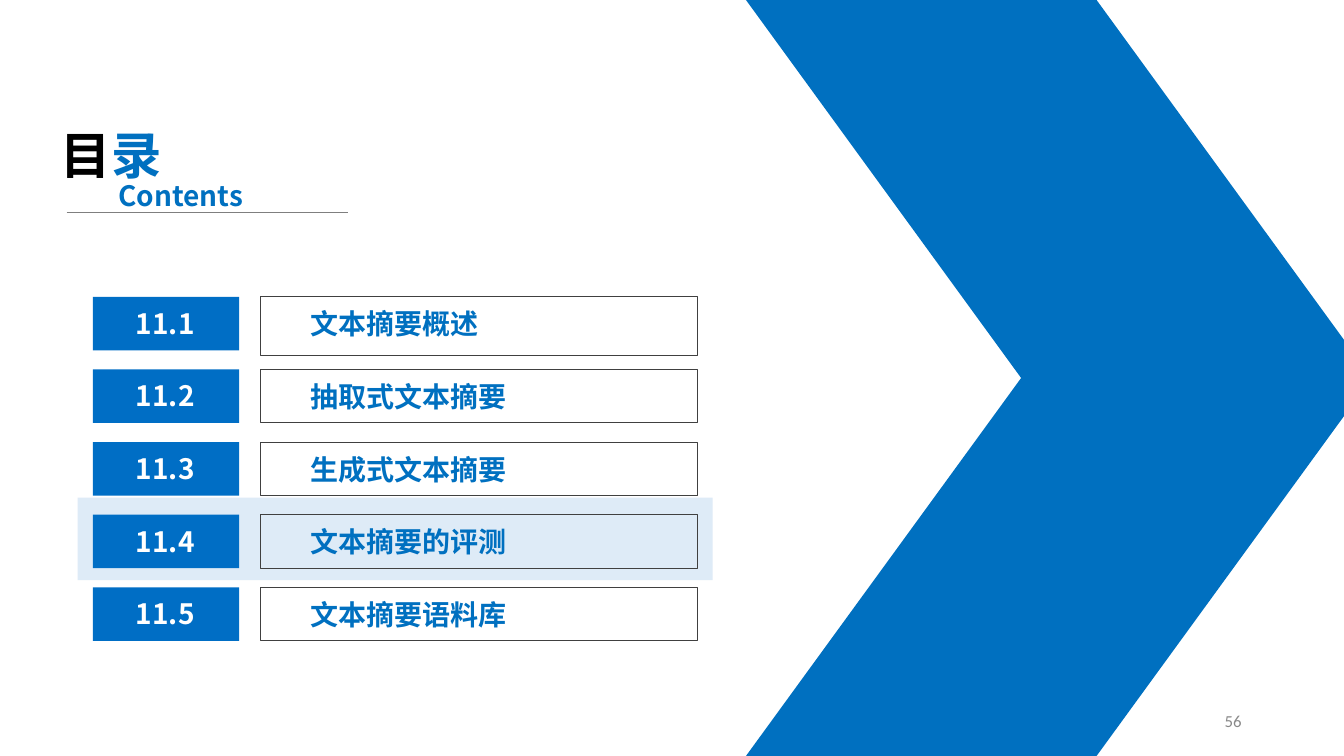
from lxml.etree import SubElement
from pptx import Presentation
from pptx.dml.color import RGBColor
from pptx.enum.shapes import MSO_CONNECTOR, MSO_SHAPE
from pptx.enum.text import MSO_ANCHOR, MSO_AUTO_SIZE, PP_ALIGN
from pptx.oxml.ns import qn
from pptx.util import Cm, Pt

COLORS = {
    "blue": "0070C0",
    "number": "006EC5",
    "highlight": "DEEBF7",
    "outline": "404040",
    "rule": "7F7F7F",
    "page": "898989",
    "black": "000000",
    "white": "FFFFFF",
}
HEADING_FONT = "Noto Sans CJK SC"
SECTIONS = [
    ("11.1", "文本摘要概述"),
    ("11.2", "抽取式文本摘要"),
    ("11.3", "生成式文本摘要"),
    ("11.4", "文本摘要的评测"),
    ("11.5", "文本摘要语料库"),
]
CURRENT_SECTION = 3
ROW_PITCH = 1.83
ROW_HEIGHT = 1.35


def color(name):
    return RGBColor.from_string(COLORS[name])


def add_block(slide, box, fill=None, outline=None, kind=MSO_SHAPE.RECTANGLE):
    shape = slide.shapes.add_shape(kind, *map(Cm, box))
    shape.shadow.inherit = False
    if fill:
        shape.fill.solid()
        shape.fill.fore_color.rgb = color(fill)
    else:
        shape.fill.background()
    if outline:
        shape.line.color.rgb = color(outline)
        shape.line.width = Pt(0.75)
    else:
        shape.line.fill.background()
    return shape


def add_text(slide, box, pieces, size, align=PP_ALIGN.LEFT, font=HEADING_FONT,
             bold=True, anchor=MSO_ANCHOR.TOP, fit=MSO_AUTO_SIZE.SHAPE_TO_FIT_TEXT):
    frame = slide.shapes.add_textbox(*map(Cm, box)).text_frame
    frame_format = {"word_wrap": True, "auto_size": fit, "vertical_anchor": anchor}
    for name, value in frame_format.items():
        setattr(frame, name, value)
    paragraph = frame.paragraphs[0]
    paragraph.alignment = align
    run_format = {"name": font, "size": Pt(size), "bold": bold}
    for text, color_name in pieces:
        run = paragraph.add_run()
        run.text = text
        for name, value in run_format.items():
            setattr(run.font, name, value)
        run.font.color.rgb = color(color_name)
        SubElement(run.font._element, qn("a:ea"), typeface=font)


def add_chevron(slide, left, top, width, height):
    half = height / 2
    for part_top, flipped in ((top + half, False), (top, True)):
        shape = add_block(slide, (left, part_top, width, half), "blue",
                          kind=MSO_SHAPE.PARALLELOGRAM)
        shape.adjustments[0] = 0.728
        if flipped:
            shape._element.spPr.xfrm.set("flipV", "1")


def add_heading(slide, left, top):
    add_text(slide, (left, top, 3.99, 1.8), [("目", "black"), ("录", "blue")], 36)
    rule_left, rule_top = left + 0.4, top + 2.36
    rule = slide.shapes.add_connector(
        MSO_CONNECTOR.STRAIGHT, Cm(rule_left), Cm(rule_top),
        Cm(rule_left + 7.09), Cm(rule_top))
    rule.line.color.rgb = color("rule")
    rule.line.width = Pt(0.5)
    SubElement(rule._element.spPr, qn("a:effectLst"))
    add_text(slide, (left + 1.45, top + 1.37, 3.99, 1.12), [("Contents", "blue")], 20)


def add_section(slide, left, top, number, title, title_height):
    title_left = left + 4.22
    add_block(slide, (title_left, top, 11.02, title_height), outline="outline")
    add_text(slide, (title_left + 1.02, top + 0.13, 9.37, 1.12), [(title, "blue")], 20)
    add_block(slide, (left, top, 3.69, ROW_HEIGHT), "number")
    add_text(slide, (left + 0.49, top + 0.11, 2.67, 1.12), [(number, "white")], 20,
             PP_ALIGN.CENTER)


def add_contents(slide, left, top):
    current_top = top + CURRENT_SECTION * ROW_PITCH
    add_block(slide, (left - 0.38, current_top - 0.43, 16, 2.08), "highlight")
    for index, (number, title) in enumerate(SECTIONS):
        title_height = 1.47 if index == 0 else ROW_HEIGHT
        add_section(slide, left, top + index * ROW_PITCH, number, title, title_height)


def add_page_number(slide, left, top):
    add_text(slide, (left, top, 7.62, 1.01), [("56", "page")], 12, PP_ALIGN.RIGHT,
             "Calibri", False, MSO_ANCHOR.MIDDLE, MSO_AUTO_SIZE.NONE)


def main():
    presentation = Presentation()
    presentation.slide_width = Cm(33.87)
    presentation.slide_height = Cm(19.05)
    slide = presentation.slides.add_slide(presentation.slide_layouts[6])
    add_chevron(slide, 18.8, 0, 15.77, 19.05)
    add_heading(slide, 1.28, 3)
    add_contents(slide, 2.34, 7.48)
    add_page_number(slide, 23.92, 17.65)
    presentation.save("out.pptx")


if __name__ == "__main__":
    main()
